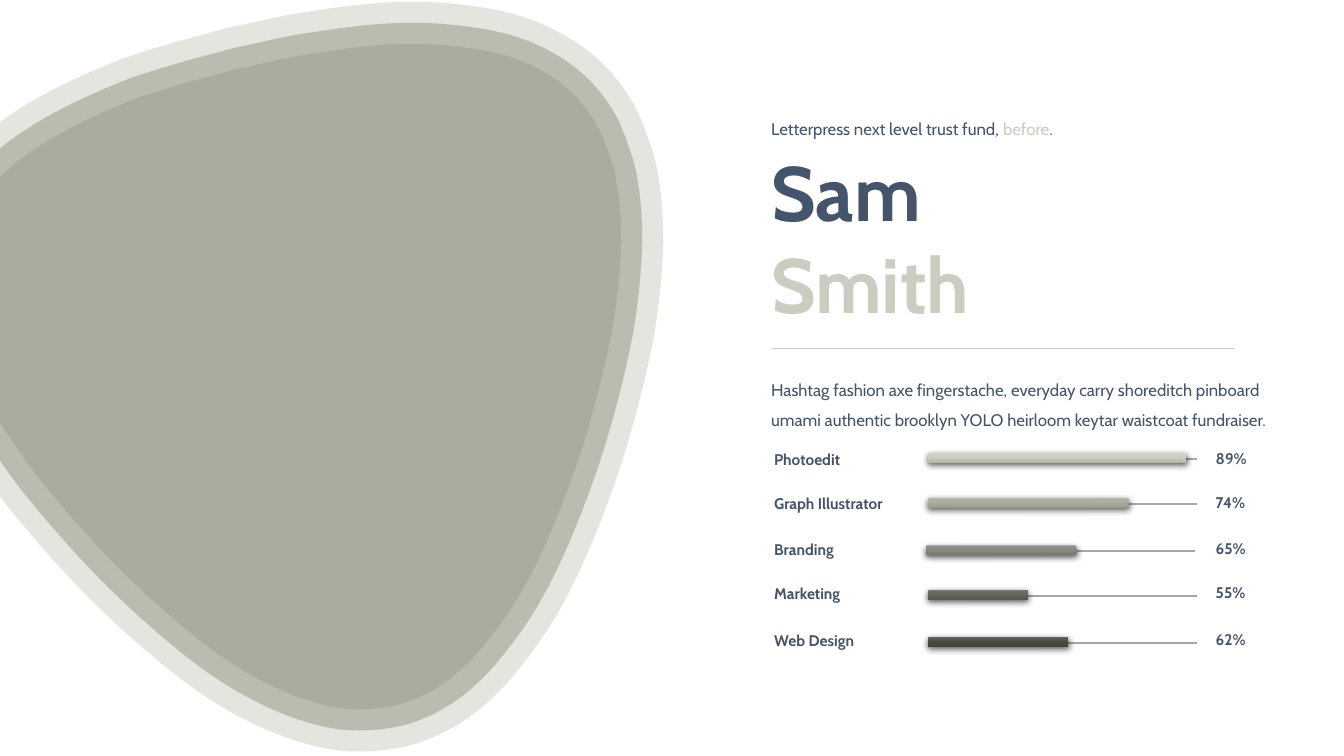
from copy import deepcopy

from lxml import etree
from pptx import Presentation
from pptx.dml.color import RGBColor
from pptx.enum.shapes import MSO_CONNECTOR, MSO_SHAPE
from pptx.enum.text import MSO_AUTO_SIZE
from pptx.oxml.ns import qn
from pptx.util import Inches, Pt

STRAIGHT = MSO_CONNECTOR.STRAIGHT
ROUNDED = MSO_SHAPE.ROUNDED_RECTANGLE
GROW = MSO_AUTO_SIZE.SHAPE_TO_FIT_TEXT
rgb = RGBColor.from_string
NAVY, SAND, SAGE, GREY = "44546A", "CBCDC0", "AAAC9F", "A6A6A6"

deck = Presentation()
deck.slide_width, deck.slide_height = Inches(13.33), Inches(7.5)
slide = deck.slides.add_slide(deck.slide_layouts[6])
shapes = slide.shapes


def add_text(paragraphs, left, top, width, height, size, bold=False, spacing=None):
    """Each paragraph is a list of (text, colour) runs."""
    box = shapes.add_textbox(Inches(left), Inches(top), Inches(width), Inches(height))
    frame = box.text_frame
    frame.word_wrap = True
    frame.auto_size = GROW
    for index, runs in enumerate(paragraphs):
        paragraph = frame.add_paragraph() if index else frame.paragraphs[0]
        if spacing:
            paragraph.line_spacing = spacing
        for text, colour in runs:
            run = paragraph.add_run()
            run.text = text
            run.font.name = "Cabin"
            run.font.size = Pt(size)
            run.font.bold = bold
            run.font.color.rgb = rgb(colour)


def add_rule(left, right, y, colour, weight):
    rule = shapes.add_connector(STRAIGHT, Inches(left), Inches(y), Inches(right), Inches(y))
    rule.line.color.rgb = rgb(colour)
    rule.line.width = Pt(weight)
    etree.SubElement(rule._element.spPr, qn("a:effectLst"))


# Pebble outline in hundredths of an inch: two control points and an end point
pebble_curves = [
    (-64, 325, -68, 302, -68, 286),
    (-69, 254, -61, 225, -45, 199),
    (-33, 179, -18, 163, -1, 148),
    (20, 131, 43, 117, 67, 105),
    (87, 95, 108, 86, 128, 78),
    (145, 72, 162, 67, 179, 62),
    (196, 57, 213, 53, 230, 48),
    (234, 47, 240, 46, 245, 45),
    (267, 40, 288, 35, 310, 32),
    (337, 28, 364, 24, 391, 23),
    (417, 22, 442, 23, 468, 27),
    (492, 30, 515, 36, 536, 46),
    (568, 61, 592, 82, 610, 113),
    (616, 124, 621, 137, 625, 150),
    (628, 158, 631, 168, 632, 177),
    (636, 198, 637, 220, 637, 242),
    (636, 271, 633, 300, 628, 330),
    (620, 372, 609, 414, 596, 455),
    (583, 494, 568, 533, 550, 570),
    (537, 596, 523, 620, 505, 642),
    (492, 660, 476, 677, 458, 691),
    (443, 702, 427, 711, 409, 717),
    (400, 720, 386, 723, 372, 724),
    (351, 726, 330, 724, 310, 718),
    (284, 711, 260, 700, 237, 687),
    (211, 672, 188, 655, 166, 636),
    (114, 593, 68, 544, 26, 492),
    (3, 463, -17, 434, -34, 402),
    (-45, 381, -54, 360, -61, 334),
]
anchors = [curve[4:] for curve in pebble_curves]
pebble_left = min(x for x, y in anchors)
pebble_top = min(y for x, y in anchors)
builder = shapes.build_freeform(*anchors[-1], scale=Inches(0.01))
builder.add_line_segments(anchors, close=True)
pebble = builder.convert_to_shape()
segments = list(pebble._element.spPr.iter(qn("a:lnTo")))
for segment, curve in zip(segments, pebble_curves):
    segment.tag = qn("a:cubicBezTo")
    segment.remove(segment[0])
    for x, y in zip(curve[::2], curve[1::2]):
        etree.SubElement(segment, qn("a:pt"), x=str(x - pebble_left), y=str(y - pebble_top))
pebble.shadow.inherit = False
pebble.fill.solid()
pebble.fill.fore_color.rgb = rgb(SAGE)
pebble.line.color.rgb = rgb(SAND)
pebble.line.width = Pt(30)
border_colour = pebble.line._ln.find(".//" + qn("a:srgbClr"))
etree.SubElement(border_colour, qn("a:alpha"), val="50000")

# Skills: name, share, text top, track y, bar left, bar width, gradient
skills = [
    ("Photoedit", "89%", 4.42, 4.55, 9.2, 2.57, ("D2D4C8", "CBCEBF", "B5B8A9")),
    ("Graph Illustrator", "74%", 4.85, 5, 9.2, 2, ("B4B5AA", "AAAD9E", "989A8C")),
    ("Branding", "65%", 5.31, 5.47, 9.18, 1.5, ("93948B", "85887B", "77796D")),
    ("Marketing", "55%", 5.75, 5.91, 9.2, 1, ("777771", "63645C", "595A51")),
    ("Web Design", "62%", 6.21, 6.38, 9.2, 1.4, ("64645F", "494941", "424239")),
]
for skill, share, text_top, track_y, bar_left, bar_width, tones in skills:
    add_text([[(skill, NAVY)]], 7.58, text_top, 1.54, 0.29, 11, bold=True)
    add_rule(bar_left + 0.1, bar_left + 2.67, track_y, GREY, 1.5)

    bar = shapes.add_shape(ROUNDED, Inches(bar_left), Inches(track_y - 0.06),
                           Inches(bar_width), Inches(0.1))
    bar.line.fill.background()
    bar.fill.gradient()
    bar.fill.gradient_angle = 270
    stops = bar._element.spPr.find(".//" + qn("a:gsLst"))
    stops.append(deepcopy(stops[0]))
    for stop, position, tone in zip(bar.fill.gradient_stops, (0, 0.5, 1), tones):
        stop.position = position
        stop.color.rgb = rgb(tone)
    bar.shadow.inherit = False
    effects = bar._element.spPr.find(qn("a:effectLst"))
    shadow = etree.SubElement(effects, qn("a:outerShdw"), blurRad=str(Pt(4.5)),
                              dist=str(Pt(1.5)), dir="5400000", rotWithShape="0")
    shadow_colour = etree.SubElement(shadow, qn("a:srgbClr"), val="000000")
    etree.SubElement(shadow_colour, qn("a:alpha"), val="63000")

    add_text([[(share, NAVY)]], 11.96, text_top - 0.01, 0.54, 0.29, 11, bold=True)

# Name and introduction
add_text([[("Letterpress next level trust fund, ", NAVY), ("before", SAND), (".", "656D78")]],
         7.55, 1.13, 3.38, 0.3, 12)
add_text([[("Sam", NAVY)], [("Smith", SAND)]], 7.55, 1.38, 4.61, 1.95, 55, bold=True)
add_text([[("Hashtag fashion axe fingerstache, everyday carry shoreditch pinboard "
            "umami authentic brooklyn YOLO heirloom keytar waistcoat fundraiser.", NAVY)]],
         7.55, 3.62, 5.13, 0.71, 12, spacing=1.5)
add_rule(7.66, 12.24, 3.46, SAND, 0.75)

deck.save("out.pptx")
